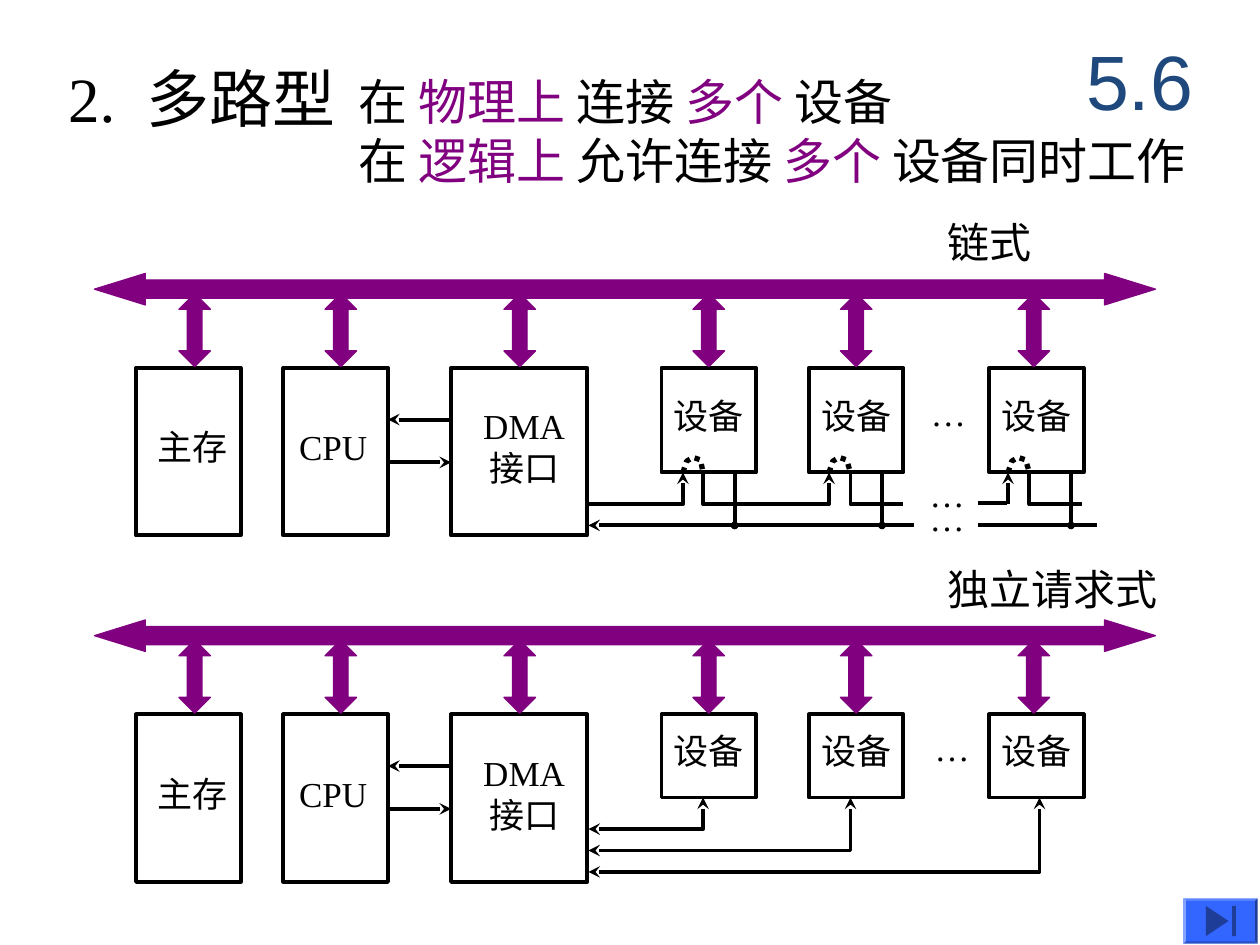
"""Build the slide on multiplexed DMA interfaces: daisy chain and independent request."""
import pptx
import pptx.dml.color
import pptx.enum.dml
import pptx.enum.shapes
import pptx.enum.text
import pptx.oxml.ns
import pptx.util
from lxml import etree

Inches = pptx.util.Inches
Pt = pptx.util.Pt
qn = pptx.oxml.ns.qn
SHAPE = pptx.enum.shapes.MSO_SHAPE
ALIGN = pptx.enum.text.PP_ALIGN
ANCHOR = pptx.enum.text.MSO_ANCHOR
BLACK = pptx.dml.color.RGBColor(0x00, 0x00, 0x00)
PURPLE = pptx.dml.color.RGBColor(0x80, 0x00, 0x80)
NAVY = pptx.dml.color.RGBColor(0x1F, 0x49, 0x7D)
BLUE = pptx.dml.color.RGBColor(0x33, 0x66, 0xFF)
SERIF = "Times New Roman"

TITLE = "2.\t多路型"
SECTION = "5.6"
DESCRIPTION = [
    [("在 ", BLACK), ("物理上 ", PURPLE), ("连接 ", BLACK), ("多个 ", PURPLE), ("设备", BLACK)],
    [("在 ", BLACK), ("逻辑上 ", PURPLE), ("允许连接 ", BLACK), ("多个 ", PURPLE),
     ("设备同时工作", BLACK)],
]
# name, left, width, bus arrow left, text shift
UNITS = [
    (["主存"], 1.08, 0.83, 1.42, 0.06),
    (["CPU"], 2.25, 0.83, 2.58, -0.04),
    (["DMA", "接口"], 3.58, 1.08, 4.0, 0.08),
]
DEVICES = [
    (["设备"], 5.25, 0.75, 5.5, 0),
    (["设备"], 6.42, 0.75, 6.67, 0),
    (["设备"], 7.85, 0.75, 8.08, 0),
]
PANELS = [
    {"label": "链式", "width": 1.33, "top": 2.17, "device_height": 0.83,
     "dots": [(7.29, 3.06), (7.28, 3.7), (7.28, 3.89)]},
    {"label": "独立请求式", "width": 2.5, "top": 4.92, "device_height": 0.66,
     "dots": [(7.32, 5.72)]},
]
CHAIN_PORTS = [(5.42, 5.58, 5.83), (6.58, 6.75, 7.0), (8.0, 8.17, 8.5)]
REQUESTS = [(5.58, 6.58), (6.75, 6.75), (8.25, 6.92)]
DEVICE_BOTTOM, CHAIN_Y, ACK_Y, DMA_RIGHT = 3.75, 4.0, 4.17, 4.67


def style(p, size, color=BLACK, font=SERIF):
    p.font.size = Pt(size)
    p.font.name = font
    p.font.color.rgb = color


def add_text(slide, text, left, top, width, height, size):
    tf = slide.shapes.add_textbox(*map(Inches, (left, top, width, height))).text_frame
    tf.word_wrap = True
    tf.text = text
    style(tf.paragraphs[0], size)
    return tf


def add_unit(slide, unit, top, height):
    lines, left, width, _, shift = unit
    sp = slide.shapes.add_shape(SHAPE.RECTANGLE, *map(Inches, (left, top, width, height)))
    sp.shadow.inherit = False
    sp.fill.background()
    sp.line.color.rgb = BLACK
    sp.line.width = Pt(2.25)
    tf = sp.text_frame
    tf.word_wrap = False
    tf.vertical_anchor = ANCHOR.MIDDLE
    tf.margin_left, tf.margin_right = Inches(max(shift, 0)), Inches(max(-shift, 0))
    tf.margin_top, tf.margin_bottom = 0, Inches(0.08)
    tf.text = "\n".join(lines)
    for p in tf.paragraphs:
        p.alignment = ALIGN.CENTER
        style(p, 20)


def add_filled(slide, kind, box, color, adjustments=()):
    sp = slide.shapes.add_shape(kind, *map(Inches, box))
    sp.shadow.inherit = False
    for i, value in enumerate(adjustments):
        sp.adjustments[i] = value
    sp.fill.solid()
    sp.fill.fore_color.rgb = color
    sp.line.fill.background()
    return sp


def add_bus_arrow(slide, kind, box, adjustments):
    sp = add_filled(slide, kind, box, PURPLE, adjustments)
    sp.line.color.rgb = PURPLE
    sp.line.width = Pt(0.75)


def add_wire(slide, points, head=None, tail=None, width=2.25, dash=None):
    points = [(Inches(x), Inches(y)) for x, y in points]
    if len(points) == 2:
        sp = slide.shapes.add_connector(
            pptx.enum.shapes.MSO_CONNECTOR.STRAIGHT, *points[0], *points[1])
        etree.SubElement(sp._element.spPr, qn("a:effectLst"))
    else:
        builder = slide.shapes.build_freeform(*points[0])
        builder.add_line_segments(points[1:], close=False)
        sp = builder.convert_to_shape()
        sp.shadow.inherit = False
        sp.fill.background()
    sp.line.color.rgb = BLACK
    sp.line.width = Pt(width)
    if dash:
        sp.line.dash_style = dash
    ln = sp.line._get_or_add_ln()
    for tag, end in (("a:headEnd", head), ("a:tailEnd", tail)):
        if end:
            size = "sm" if end == "oval" else "med"
            etree.SubElement(ln, qn(tag), type=end, w=size, len=size)


def add_panel(slide, panel):
    top = panel["top"]
    for unit in UNITS:
        add_unit(slide, unit, top + 0.75, 1.33)
    for device in DEVICES:
        add_unit(slide, device, top + 0.75, panel["device_height"])
    add_bus_arrow(slide, SHAPE.LEFT_RIGHT_ARROW, (0.75, top, 8.42, 0.25), (0.583, 1.613))
    for _, _, _, left, _ in UNITS + DEVICES:
        add_bus_arrow(slide, SHAPE.UP_DOWN_ARROW, (left, top + 0.16, 0.25, 0.58), (0.5, 0.464))
    add_wire(slide, [(3.08, top + 1.5), (3.58, top + 1.5)], tail="stealth")
    add_wire(slide, [(3.58, top + 1.16), (3.08, top + 1.16)], tail="stealth")
    add_text(slide, panel["label"], 7.42, top - 0.5, panel["width"], 0.5, 24)
    for left, dots_top in panel["dots"]:
        add_text(slide, "…", left, dots_top, 0.48, 0.44, 20)


def add_chain(slide):
    (in1, out1, _), (in2, out2, _), (in3, out3, _) = CHAIN_PORTS
    low, high = CHAIN_Y, DEVICE_BOTTOM
    add_wire(slide, [(DMA_RIGHT, low), (in1, low), (in1, high)], tail="stealth")
    add_wire(slide, [(out1, high), (out1, low), (in2, low), (in2, high)], tail="stealth")
    for x in (out2, out3):
        add_wire(slide, [(x, high), (x, low), (x + 0.42, low)])
    add_wire(slide, [(7.76, 3.99), (7.99, 3.99)])
    add_wire(slide, [(in3, low), (in3, high)], tail="stealth")
    add_wire(slide, [(7.25, ACK_Y), (DMA_RIGHT, ACK_Y)], tail="stealth")
    add_wire(slide, [(7.76, ACK_Y), (8.71, ACK_Y)])
    for x, x_out, x_ack in CHAIN_PORTS:
        add_wire(slide, [(x_ack, high), (x_ack, ACK_Y)], tail="oval")
        arc = [(x, high), (x + 0.03, 3.66), (x + 0.08, 3.63), (x + 0.14, 3.65), (x_out, high)]
        add_wire(slide, arc, width=3, dash=pptx.enum.dml.MSO_LINE.ROUND_DOT)


def add_heading(slide):
    title = slide.shapes.title
    title.left, title.top, title.width, title.height = map(Inches, (0.44, 0.42, 2.32, 0.7))
    tf = title.text_frame
    tf.word_wrap = False
    tf.margin_right = 0
    tf.vertical_anchor = ANCHOR.TOP
    tf.text = TITLE
    p = tf.paragraphs[0]
    p.alignment = ALIGN.LEFT
    tabs = etree.SubElement(p._p.get_or_add_pPr(), qn("a:tabLst"))
    etree.SubElement(tabs, qn("a:tab"), pos=str(Inches(0.62)), algn="l")
    style(p, 36)

    tf = add_text(slide, "", 2.75, 0.52, 7.25, 1.04, 28)
    for i, line in enumerate(DESCRIPTION):
        p = tf.add_paragraph() if i else tf.paragraphs[0]
        p.font.size = Pt(28)
        p.font.name = SERIF
        for text, color in line:
            r = p.add_run()
            r.text = text
            r.font.color.rgb = color

    tf = add_text(slide, SECTION, 8.42, 0.17, 1.25, 0.92, 44)
    tf.vertical_anchor = ANCHOR.MIDDLE
    tf.paragraphs[0].alignment = ALIGN.CENTER
    style(tf.paragraphs[0], 44, NAVY, "Arial")


def main():
    prs = pptx.Presentation()
    prs.slide_width, prs.slide_height = Inches(10), Inches(7.5)
    slide = prs.slides.add_slide(prs.slide_layouts[5])
    add_heading(slide)
    for panel in PANELS:
        add_panel(slide, panel)
    add_chain(slide)
    for x, y in REQUESTS:
        add_wire(slide, [(DMA_RIGHT, y), (x, y), (x, 6.33)], head="stealth", tail="stealth")
    add_filled(slide, SHAPE.BEVEL, (9.39, 7.13, 0.59, 0.36), BLUE, (0.06,))
    add_filled(slide, SHAPE.ACTION_BUTTON_END, (9.42, 7.15, 0.54, 0.32), BLUE)
    prs.save("out.pptx")


if __name__ == "__main__":
    main()
